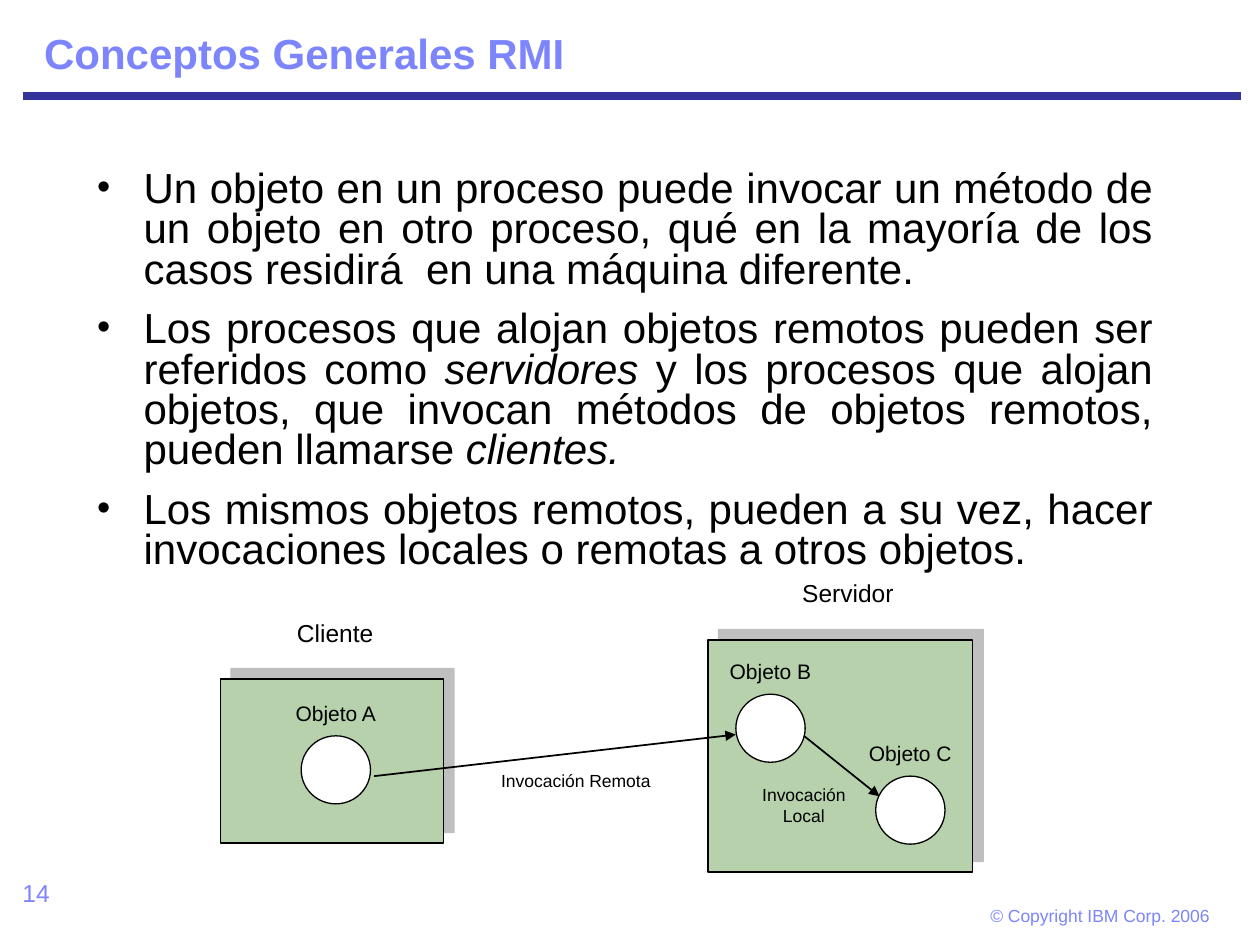
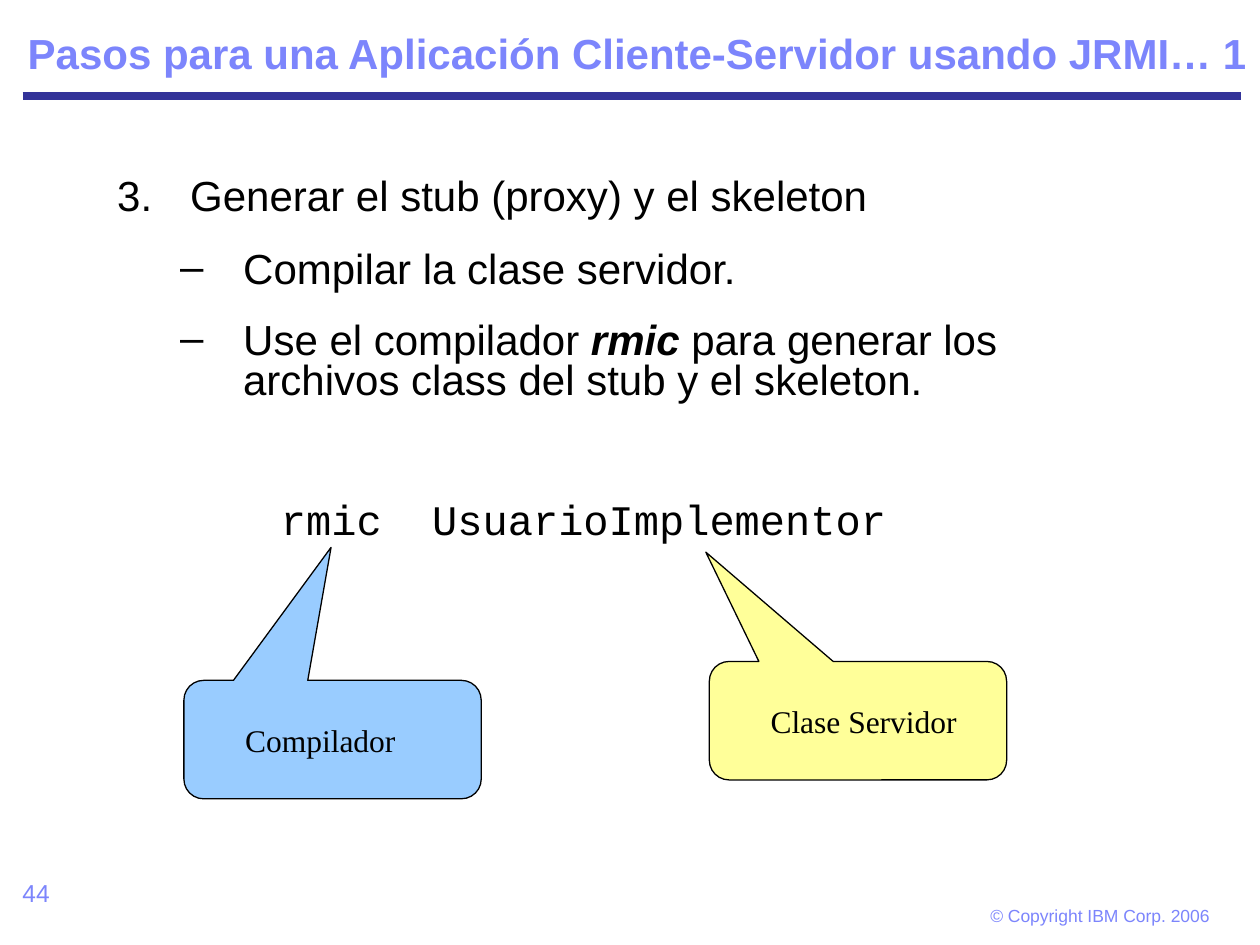
import lxml.etree
import pptx
import pptx.dml.color
import pptx.enum.shapes
import pptx.enum.text
import pptx.oxml.ns
import pptx.util

Inches = pptx.util.Inches
Pt = pptx.util.Pt
qn = pptx.oxml.ns.qn
SHAPE = pptx.enum.shapes.MSO_SHAPE
ALIGN = pptx.enum.text.PP_ALIGN
ANCHOR = pptx.enum.text.MSO_ANCHOR

BLACK = "000000"
WHITE = "FFFFFF"
LILAC = "7C85FC"
NAVY = "333399"
GREEN = "B6D1AB"
BLUE = "99CCFF"
YELLOW = "FFFF99"
GRAY = "808080"
COPYRIGHT = "© Copyright IBM Corp. 2006"
CIRCLE_WIDTH, CIRCLE_HEIGHT = 0.55, 0.54


def color(hex_value):
    return pptx.dml.color.RGBColor.from_string(hex_value)


def xml_child(parent, tag, **attributes):
    return lxml.etree.SubElement(parent, qn(tag), attributes)


def set_font(font, size, hex_value=BLACK, name="Arial", bold=False, italic=False):
    font.size = Pt(size)
    font.name = name
    font.bold = bold
    font.italic = italic
    font.color.rgb = color(hex_value)


def place(shape, left, top, width, height):
    shape.left, shape.top = Inches(left), Inches(top)
    shape.width, shape.height = Inches(width), Inches(height)


def add_label(slide, box, text, size, hex_value=BLACK, align=ALIGN.CENTER, inset=(0.1, 0.05)):
    frame = slide.shapes.add_textbox(*map(Inches, box)).text_frame
    frame.word_wrap = True
    frame.margin_left = frame.margin_right = Inches(inset[0])
    frame.margin_top = frame.margin_bottom = Inches(inset[1])
    frame.text = text
    frame.paragraphs[0].alignment = align
    set_font(frame.paragraphs[0].runs[0].font, size, hex_value)


def add_filled(slide, kind, box, fill):
    shape = slide.shapes.add_shape(kind, *map(Inches, box))
    shape.shadow.inherit = False
    shape.fill.solid()
    shape.fill.fore_color.rgb = color(fill)
    shape.line.color.rgb = color(BLACK)
    shape.line.width = Pt(0.75)
    return shape


def add_line(slide, start, end, hex_value, width, arrow=False):
    line = slide.shapes.add_connector(
        pptx.enum.shapes.MSO_CONNECTOR.STRAIGHT, *map(Inches, start + end))
    line.line.color.rgb = color(hex_value)
    line.line.width = Pt(width)
    properties = line.element.spPr
    if arrow:
        xml_child(properties.find(qn("a:ln")), "a:tailEnd", type="triangle")
    xml_child(properties, "a:effectLst")


def add_base_slide(deck, title, title_box, number):
    slide = deck.slides.add_slide(deck.slide_layouts[1])
    add_line(slide, (0.18, 0.76), (9.85, 0.76), NAVY, 4.5)
    add_label(slide, (0.08, 6.92, 2.08, 0.5), number, 14, LILAC, ALIGN.LEFT)
    add_label(slide, (7.71, 7.11, 2.04, 0.32), COPYRIGHT, 10, LILAC, ALIGN.LEFT, (0.15, 0.07))
    place(slide.shapes.title, *title_box)
    frame = slide.shapes.title.text_frame
    frame.auto_size = pptx.enum.text.MSO_AUTO_SIZE.NONE
    frame.vertical_anchor = ANCHOR.BOTTOM
    frame.text = title
    heading = frame.paragraphs[0]
    heading.alignment = ALIGN.LEFT
    heading.line_spacing = 0.99
    set_font(heading.runs[0].font, 24, LILAC, bold=True)
    return slide


def open_body(slide, box):
    body = slide.placeholders[1]
    place(body, *box)
    body.text_frame.auto_size = pptx.enum.text.MSO_AUTO_SIZE.NONE
    return body.text_frame


def add_item(frame, pieces, bullet=None, start=None, bullet_size=100, margin=0.37,
             hanging=0.37, level=0, spacing=0.8, before=0, align=ALIGN.LEFT, font="Arial"):
    first = not frame.text
    item = frame.paragraphs[0] if first else frame.add_paragraph()
    item.level = level
    item.alignment = align
    item.line_spacing = spacing
    item.space_before = Pt(0 if first else before)
    properties = item._p.get_or_add_pPr()
    properties.set("marL", str(Inches(margin)))
    properties.set("indent", str(-Inches(hanging)))
    if bullet or start:
        xml_child(xml_child(properties, "a:buClr"), "a:srgbClr", val=BLACK)
        xml_child(properties, "a:buSzPct", val=str(bullet_size * 1000))
        xml_child(properties, "a:buFont", typeface="Arial")
    if start:
        xml_child(properties, "a:buAutoNum", type="arabicPeriod", startAt=str(start))
    elif bullet:
        xml_child(properties, "a:buChar", char=bullet)
    else:
        xml_child(properties, "a:buNone")
    for text, style in pieces:
        run = item.add_run()
        run.text = text
        set_font(run.font, 24, name=font, bold="b" in style, italic="i" in style)


def add_process(slide, box, name, name_box, objects):
    left, top = box[:2]
    process = add_filled(slide, SHAPE.ROUNDED_RECTANGLE, box, GREEN)
    process.adjustments[0] = 0
    effects = process.element.spPr.find(qn("a:effectLst"))
    shadow = xml_child(effects, "a:outerShdw", dist=str(Pt(8.5)), dir="18900000",
                       algn="ctr", rotWithShape="0")
    tint = xml_child(shadow, "a:srgbClr", val=GRAY)
    xml_child(tint, "a:alpha", val="50000")
    add_label(slide, name_box, name, 14)
    for object_name, across, down in objects:
        x, y = left + across, top + down
        add_filled(slide, SHAPE.OVAL, (x, y, CIRCLE_WIDTH, CIRCLE_HEIGHT), WHITE)
        add_label(slide, (x + CIRCLE_WIDTH / 2 - 0.61, y - 0.33, 1.22, 0.3), object_name, 12)


def add_invocations(slide, left, top):
    add_line(slide, (left + 1.22, top + 1.62), (left + 4.09, top + 1.29), BLACK, 1, True)
    add_line(slide, (left + 4.63, top + 1.3), (left + 5.23, top + 1.78), BLACK, 1, True)
    add_label(slide, (left + 1.77, top + 1.52, 2.1, 0.27), "Invocación Remota", 10)
    add_label(slide, (left + 4.08, top + 1.63, 1.1, 0.43), "Invocación Local", 10)


def add_callout(slide, left, top, text, fill, tip):
    callout = add_filled(slide, SHAPE.ROUNDED_RECTANGULAR_CALLOUT, (left, top, 2.36, 0.94), fill)
    callout.adjustments[0], callout.adjustments[1] = tip
    frame = callout.text_frame
    frame.word_wrap = True
    frame.margin_left = Inches(0.44)
    frame.margin_right = Inches(0.1)
    frame.vertical_anchor = ANCHOR.MIDDLE
    frame.text = text
    frame.paragraphs[0].alignment = ALIGN.LEFT
    set_font(frame.paragraphs[0].runs[0].font, 18, name="Times New Roman")


def build_concepts(deck):
    slide = add_base_slide(deck, "Conceptos Generales RMI", (0.25, 0.33, 5.85, 0.35), "14")
    concepts = [
        [("Un objeto en un proceso puede invocar un método de un objeto en otro proceso, "
          "qué en la mayoría de los casos residirá  en una máquina diferente.", "")],
        [("Los procesos que alojan objetos remotos pueden ser referidos como ", ""),
         ("servidores", "i"),
         (" y los procesos que alojan objetos, que invocan métodos de objetos remotos, "
          "pueden llamarse ", ""),
         ("clientes.", "i")],
        [("Los mismos objetos remotos, pueden a su vez, hacer invocaciones locales o "
          "remotas a otros objetos.", "")],
    ]
    frame = open_body(slide, (0.67, 1.31, 8.58, 3.31))
    for pieces in concepts:
        add_item(frame, pieces, "•", bullet_size=90, before=11, align=ALIGN.JUSTIFY)
    add_process(slide, (1.75, 5.39, 1.77, 1.3), "Cliente", (2.05, 4.86, 1.22, 0.33),
                [("Objeto A", 0.64, 0.45)])
    add_process(slide, (5.62, 5.08, 2.1, 1.84), "Servidor", (6.01, 4.54, 1.44, 0.33),
                [("Objeto B", 0.22, 0.43), ("Objeto C", 1.33, 1.08)])
    add_invocations(slide, 1.75, 4.54)


def build_steps(deck):
    slide = add_base_slide(deck, "Pasos para una Aplicación Cliente-Servidor usando JRMI… 1",
                           (0.12, 0.12, 10, 0.56), "44")
    frame = open_body(slide, (0.83, 1.31, 8.34, 5.28))
    add_item(frame, [("Generar el stub (proxy) y el skeleton", "")], start=3,
             margin=0.58, hanging=0.58, spacing=0.99)
    substeps = [
        [("Compilar la clase servidor.", "")],
        [("Use el compilador ", ""), ("rmic", "bi"),
         (" para generar los archivos class del stub y el skeleton.", "")],
    ]
    for pieces in substeps:
        add_item(frame, pieces, "–", margin=1, hanging=0.5, level=1, before=17.5)
    add_item(frame, [("rmic  UsuarioImplementor", "")], margin=1.3, hanging=0, level=1,
             before=57, font="Courier New")
    add_callout(slide, 1.46, 5.4, "Compilador", BLUE, (-0.005, -1.623))
    add_callout(slide, 5.63, 5.25, "Clase Servidor", YELLOW, (-0.512, -1.423))


def main():
    deck = pptx.Presentation()
    deck.slide_width, deck.slide_height = Inches(10), Inches(7.5)
    build_concepts(deck)
    build_steps(deck)
    deck.save("out.pptx")


if __name__ == "__main__":
    main()
